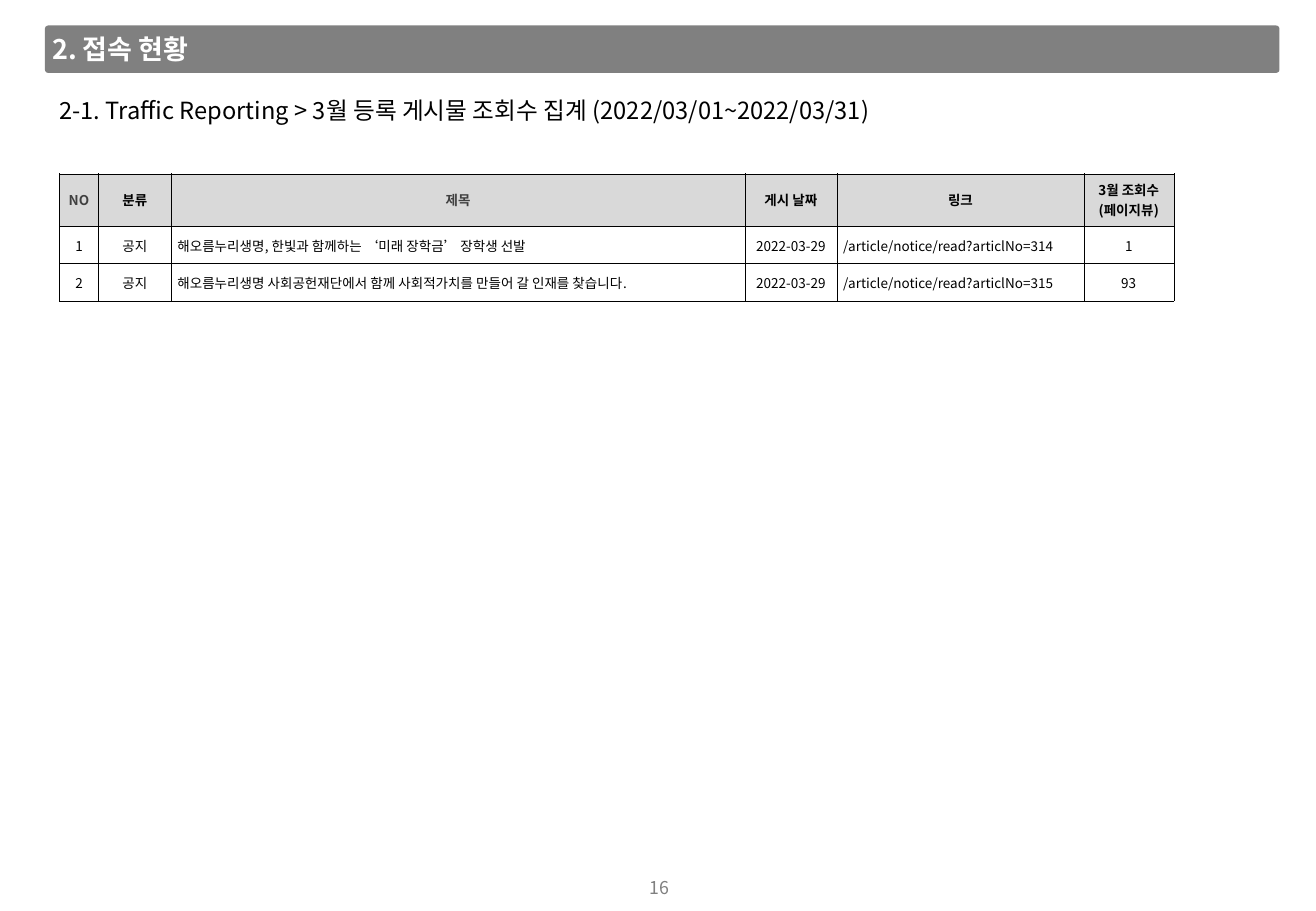
from lxml import etree
from pptx import Presentation
from pptx.dml.color import RGBColor
from pptx.enum import shapes, text
from pptx.oxml import ns
from pptx.util import Inches, Pt

WHITE = RGBColor(0xFF, 0xFF, 0xFF)
BLACK = RGBColor(0, 0, 0)
GRAY = RGBColor(0x80, 0x80, 0x80)
DARK_GRAY = RGBColor(0x40, 0x40, 0x40)
HEADER_FILL = RGBColor(0xD9, 0xD9, 0xD9)

LEFT = text.PP_ALIGN.LEFT
CENTER = text.PP_ALIGN.CENTER
MIDDLE = text.MSO_ANCHOR.MIDDLE

COLUMN_WIDTHS = [0.32, 0.6, 4.72, 0.76, 2.03, 0.74]
ROW_HEIGHTS = [0.43, 0.31, 0.31]
LEFT_COLUMNS = (2, 4)
DARK_GRAY_HEADERS = ("NO", "제목")
ROWS = [
    ["NO", "분류", "제목", "게시 날짜", "링크", "3월 조회수\n(페이지뷰)"],
    ["1", "공지", "해오름누리생명, 한빛과 함께하는 ‘미래 장학금’ 장학생 선발",
     "2022-03-29", "/article/notice/read?articlNo=314", "1"],
    ["2", "공지", "해오름누리생명 사회공헌재단에서 함께 사회적가치를 만들어 갈 인재를 찾습니다.",
     "2022-03-29", "/article/notice/read?articlNo=315", "93"],
]


class SlideBuilder:
    font = "Noto Sans CJK KR"

    def __init__(self, slide):
        self.slide = slide

    def add_words(self, para, words, size, color, bold=False, align=LEFT):
        """Fill a paragraph, turning each newline into a line break."""
        para.alignment = align
        for index, line in enumerate(words.split("\n")):
            if index:
                para.add_line_break()
            span = para.add_run()
            span.text = line
            span.font.name = self.font
            span.font.size = Pt(size)
            span.font.bold = bold
            span.font.color.rgb = color
            east_asian = etree.SubElement(span.font._element, ns.qn("a:ea"))
            east_asian.set("typeface", self.font)

    def bar(self, left, top, width, height, color):
        box = self.slide.shapes.add_shape(
            shapes.MSO_SHAPE.ROUNDED_RECTANGLE,
            Inches(left), Inches(top), Inches(width), Inches(height))
        box.adjustments[0] = 0.07
        box.shadow.inherit = False
        box.fill.solid()
        box.fill.fore_color.rgb = color
        box.line.fill.background()

    def text_box(self, left, top, width, height, words, size, color,
                 bold=False, align=LEFT, anchor=text.MSO_ANCHOR.TOP,
                 inset=0.05, wrap=True):
        box = self.slide.shapes.add_textbox(
            Inches(left), Inches(top), Inches(width), Inches(height))
        frame = box.text_frame
        frame.word_wrap = wrap
        frame.auto_size = text.MSO_AUTO_SIZE.SHAPE_TO_FIT_TEXT
        frame.vertical_anchor = anchor
        frame.margin_left = frame.margin_right = Inches(inset)
        frame.margin_top = frame.margin_bottom = Inches(inset)
        self.add_words(frame.paragraphs[0], words, size, color, bold, align)

    def table(self, left, top, widths, heights, rows):
        table = self.slide.shapes.add_table(
            len(heights), len(widths), Inches(left), Inches(top),
            Inches(sum(widths)), Inches(sum(heights))).table
        table.first_row = table.horz_banding = False
        for column, width in zip(table.columns, widths):
            column.width = Inches(width)
        for row, height in zip(table.rows, heights):
            row.height = Inches(height)
        for row_index, row in enumerate(rows):
            for column_index, words in enumerate(row):
                self.cell(table.cell(row_index, column_index), words,
                          row_index == 0, column_index in LEFT_COLUMNS)

    def cell(self, cell, words, is_header, is_left):
        align = LEFT if is_left and not is_header else CENTER
        cell.vertical_anchor = MIDDLE
        cell.margin_left = Inches(0.05 if align == LEFT else 0.01)
        cell.margin_right = cell.margin_top = Inches(0.01)
        cell.margin_bottom = Inches(0.01 if is_header else 0)
        color = DARK_GRAY if words in DARK_GRAY_HEADERS else BLACK
        self.add_words(cell.text_frame.paragraphs[0], words, 8, color,
                       is_header, align)
        self.borders(cell, BLACK, 0.25)
        if is_header:
            cell.fill.solid()
            cell.fill.fore_color.rgb = HEADER_FILL
        else:
            cell.fill.background()

    def borders(self, cell, color, width):
        properties = cell._tc.get_or_add_tcPr()
        for side in ("lnL", "lnR", "lnT", "lnB"):
            line = etree.SubElement(properties, ns.qn(f"a:{side}"))
            line.set("w", str(Pt(width)))
            fill = etree.SubElement(line, ns.qn("a:solidFill"))
            etree.SubElement(fill, ns.qn("a:srgbClr")).set("val", str(color))


def main():
    deck = Presentation()
    deck.slide_width, deck.slide_height = Inches(10.83), Inches(7.5)
    page = SlideBuilder(deck.slides.add_slide(deck.slide_layouts[6]))

    page.bar(0.37, 0.21, 10.16, 0.39, GRAY)
    page.text_box(0.38, 0.22, 1.64, 0.37, "2. 접속 현황", 16, WHITE, bold=True)
    page.text_box(
        0.44, 0.74, 7.93, 0.34,
        "2-1. Traffic Reporting > 3월 등록 게시물 조회수 집계 (2022/03/01~2022/03/31)",
        14, BLACK)
    page.text_box(5.29, 7.18, 0.27, 0.26, "16", 10.5, GRAY, align=CENTER,
                  anchor=MIDDLE, inset=0.04, wrap=False)
    page.table(0.49, 1.43, COLUMN_WIDTHS, ROW_HEIGHTS, ROWS)

    deck.save("out.pptx")


if __name__ == "__main__":
    main()
